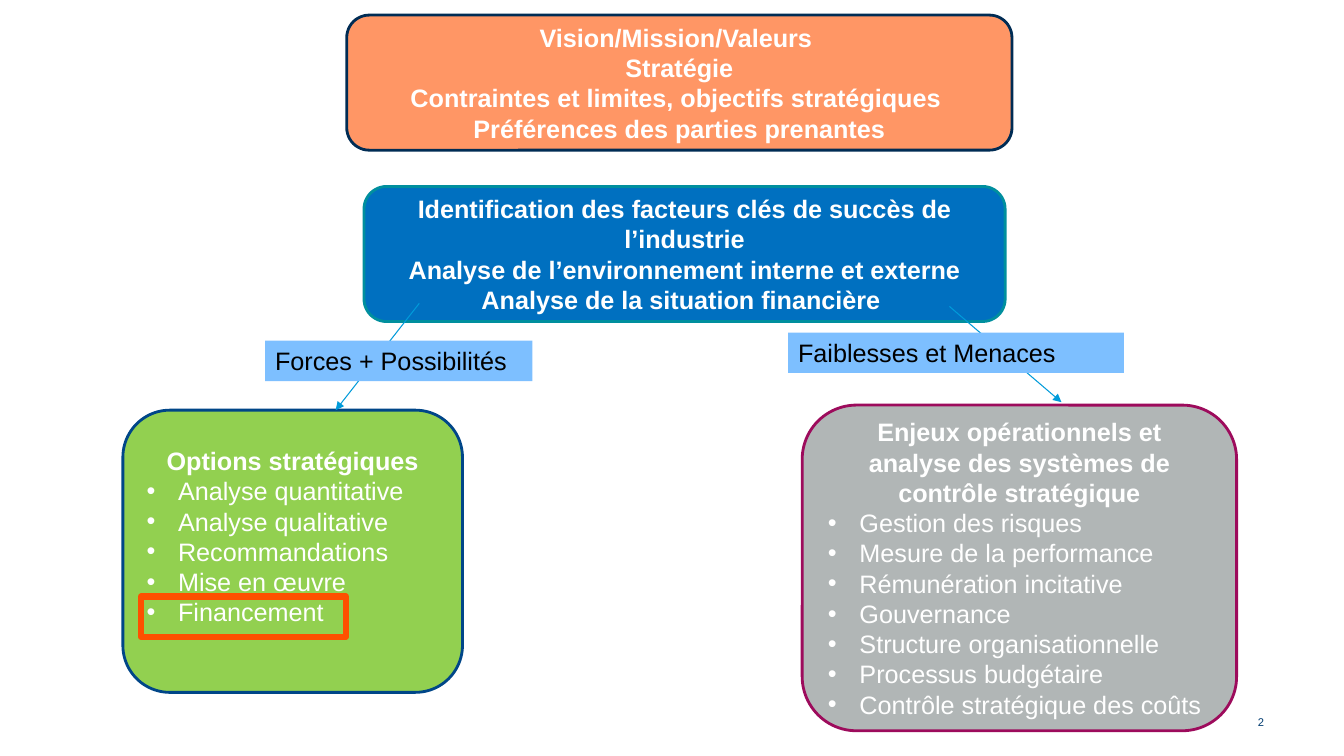
from lxml.etree import SubElement
from pptx import Presentation
from pptx.dml.color import RGBColor
from pptx.enum.shapes import MSO_CONNECTOR, MSO_SHAPE
from pptx.enum.text import MSO_ANCHOR, PP_ALIGN
from pptx.oxml.ns import qn
from pptx.util import Pt

COLOURS = {
    "white": "FFFFFF", "black": "000000", "navy": "002C54", "orange": "FF9665",
    "blue": "0070C0", "teal": "008F9E", "green": "92D050", "dark blue": "004688",
    "grey": "B1B6B6", "plum": "9D0B5C", "label": "7DBFFF", "arrow": "009BDA",
    "highlight": "FE5000", "number": "003C71",
}

VISION = ["Vision/Mission/Valeurs ", "Stratégie",
          "Contraintes et limites, objectifs stratégiques ",
          "Préférences des parties prenantes"]
ANALYSIS = ["Identification des facteurs clés de succès de l’industrie",
            "Analyse de l’environnement interne et externe",
            "Analyse de la situation financière "]
OPTIONS = ["Analyse quantitative", "Analyse qualitative", "Recommandations",
           "Mise en œuvre", "Financement"]
ISSUES = ["Gestion des risques", "Mesure de la performance",
          "Rémunération incitative", "Gouvernance", "Structure organisationnelle",
          "Processus budgétaire", "Contrôle stratégique des coûts"]


def colour(name):
    return RGBColor.from_string(COLOURS[name])


def add_bullet(para):
    properties = para._p.get_or_add_pPr()
    properties.set("marL", str(Pt(22.5)))
    properties.set("indent", str(-Pt(22.5)))
    SubElement(properties, qn("a:buFont"), typeface="Arial")
    SubElement(properties, qn("a:buChar"), char="•")


def add_line(frame, index, text, ink, size=18, bold=False,
             align=PP_ALIGN.LEFT, bullet=False):
    para = frame.add_paragraph() if index else frame.paragraphs[0]
    para.alignment = align
    if bullet:
        add_bullet(para)
    span = para.add_run()
    span.text = text
    span.font.name = "Arial"
    span.font.size = Pt(size)
    span.font.bold = bold
    span.font.color.rgb = colour(ink)


def add_box(page, kind, place, fill=None, line=None, width=2):
    box = page.shapes.add_shape(kind, *map(Pt, place))
    box.shadow.inherit = False
    if fill:
        box.fill.solid()
        box.fill.fore_color.rgb = colour(fill)
    else:
        box.fill.background()
    if line:
        box.line.color.rgb = colour(line)
        box.line.width = Pt(width)
    else:
        box.line.fill.background()
    return box


def add_panel(page, place, fill, line, headings, bullets=(), bottom=3.6):
    box = add_box(page, MSO_SHAPE.ROUNDED_RECTANGLE, place, fill, line)
    frame = box.text_frame
    frame.word_wrap = True
    frame.vertical_anchor = MSO_ANCHOR.MIDDLE
    frame.margin_bottom = Pt(bottom)
    for index, text in enumerate(headings):
        add_line(frame, index, text, "white", bold=True, align=PP_ALIGN.CENTER)
    for index, text in enumerate(bullets, len(headings)):
        add_line(frame, index, text, "white", bullet=True)


def add_label(page, place, text):
    frame = add_box(page, MSO_SHAPE.RECTANGLE, place, "label").text_frame
    frame.word_wrap = True
    frame.vertical_anchor = MSO_ANCHOR.TOP
    add_line(frame, 0, text, "black")


def add_arrow(page, *ends):
    arrow = page.shapes.add_connector(MSO_CONNECTOR.STRAIGHT, *map(Pt, ends))
    arrow.line.color.rgb = colour("arrow")
    arrow.line.width = Pt(0.75)
    SubElement(arrow.line._get_or_add_ln(), qn("a:tailEnd"), type="triangle")
    SubElement(arrow._element.spPr, qn("a:effectLst"))


def add_page_number(page, place, text):
    frame = page.shapes.add_textbox(*map(Pt, place)).text_frame
    frame.word_wrap = True
    frame.vertical_anchor = MSO_ANCHOR.MIDDLE
    add_line(frame, 0, text, "number", size=8, align=PP_ALIGN.RIGHT)


def main():
    deck = Presentation()
    deck.slide_width, deck.slide_height = Pt(960), Pt(540)
    page = deck.slides.add_slide(deck.slide_layouts[6])
    add_page_number(page, (861, 509, 49, 13), "2")

    # Strategy and analysis
    add_panel(page, (260, 133.2, 458, 96.5), "blue", "teal", ANALYSIS)
    add_panel(page, (247.7, 10.8, 475.2, 96.5), "orange", "navy", VISION)

    # Strategic options, with a line's height left free below the list
    add_panel(page, (87.8, 293, 242.6, 201.6), "green", "dark blue",
              ["Options stratégiques"], OPTIONS, bottom=25.2)
    add_arrow(page, 299.5, 216.7, 239.8, 293)
    add_label(page, (189.4, 243.4, 190.8, 28.8), "Forces + Possibilités")

    # Operational issues
    add_arrow(page, 678.2, 218.9, 758.2, 287.3)
    add_panel(page, (573, 289.4, 310.3, 232.6), "grey", "plum",
              ["Enjeux opérationnels et analyse des systèmes de contrôle stratégique"],
              ISSUES)
    add_label(page, (563, 237.6, 239.8, 28.8), "Faiblesses et Menaces")

    # Highlight on financing
    add_box(page, MSO_SHAPE.RECTANGLE, (100.8, 426.2, 146.2, 28.8),
            line="highlight", width=4.5)
    deck.save("out.pptx")


if __name__ == "__main__":
    main()
